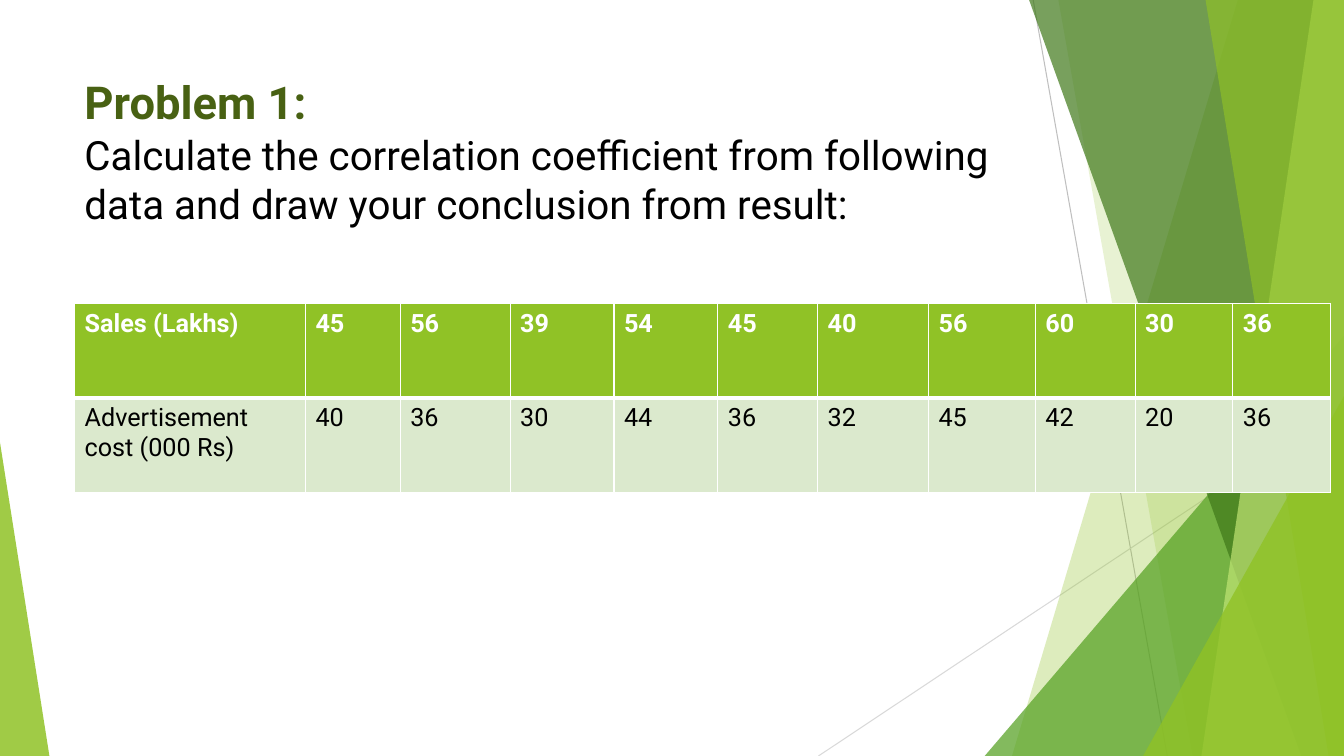
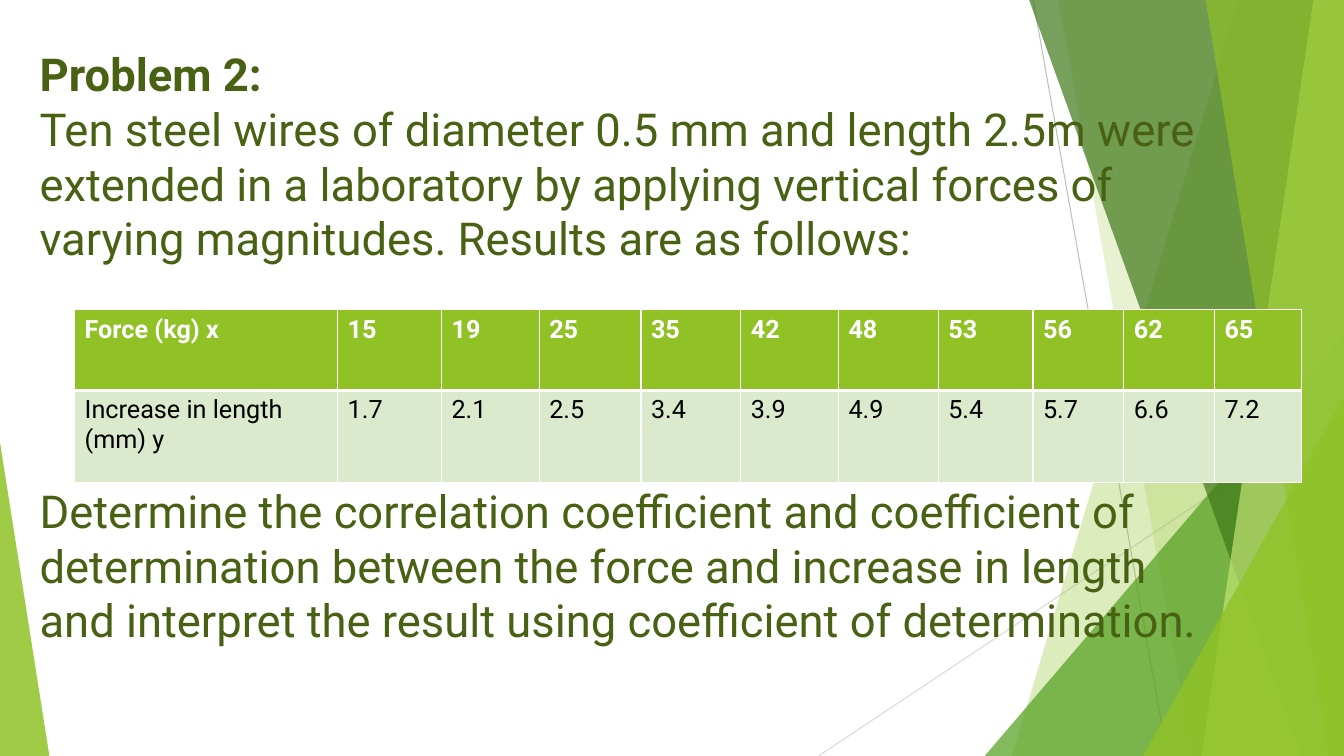
from lxml.etree import SubElement
from pptx import Presentation
from pptx.dml.color import RGBColor
from pptx.enum.shapes import MSO_CONNECTOR, MSO_SHAPE
from pptx.oxml.ns import qn
from pptx.util import Pt

WIDTH, HEIGHT = 960, 540
FONT = "Roboto"
COLORS = {
    "white": "FFFFFF",
    "black": "000000",
    "title": "486113",
    "lime": "90C226",
    "pale_lime": "C0E474",
    "green": "54A021",
    "forest": "3F7819",
    "row": "DBE9CD",
    "gray": "BFBFBF",
    "light_gray": "D9D9D9",
}
TABLE_LEFT = 53.3
HEADING_SIZE, HEADING_PITCH = 32.4, 39
PROMPT_SIZE, PROMPT_PITCH = 28.8, 35.2


def rgb(color):
    return RGBColor.from_string(COLORS[color])


def paint(shape, color, opacity):
    shape.shadow.inherit = False
    shape.fill.solid()
    shape.fill.fore_color.rgb = rgb(color)
    shape.line.fill.background()
    tint = shape.fill._xPr.find(qn("a:solidFill")).find(qn("a:srgbClr"))
    SubElement(tint, qn("a:alpha")).set("val", str(opacity * 1000))


def add_ray(slide, start, end, color):
    ray = slide.shapes.add_connector(
        MSO_CONNECTOR.STRAIGHT, *(Pt(value) for value in start + end))
    ray.line.color.rgb = rgb(color)
    ray.line.width = Pt(0.75)
    SubElement(ray._element.spPr, qn("a:effectLst"))


def add_panel(slide, top_x, bottom_x, color, opacity):
    outline = slide.shapes.build_freeform(Pt(top_x), 0)
    corners = [(WIDTH, 0), (WIDTH, HEIGHT), (bottom_x, HEIGHT)]
    outline.add_line_segments([(Pt(x), Pt(y)) for x, y in corners], close=True)
    paint(outline.convert_to_shape(), color, opacity)


def add_wedge(slide, left, top, right, apex, color, opacity):
    wedge = slide.shapes.add_shape(
        MSO_SHAPE.ISOSCELES_TRIANGLE,
        Pt(left), Pt(top), Pt(right - left), Pt(HEIGHT - top))
    wedge.adjustments[0] = apex
    paint(wedge, color, opacity)


def add_facets(slide):
    add_ray(slide, (738, 0), (833.8, HEIGHT), "gray")
    add_ray(slide, (WIDTH, 290.2), (584.6, HEIGHT), "light_gray")
    add_panel(slide, 884.2, 722.9, "lime", 30)
    add_panel(slide, 756, 851.8, "lime", 20)
    add_wedge(slide, 703.4, 239.8, WIDTH, 1, "green", 72)
    add_panel(slide, 735.1, 929.5, "forest", 70)
    add_panel(slide, 938.2, 858.2, "pale_lime", 70)
    add_panel(slide, 861.1, 949, "lime", 65)
    add_wedge(slide, 816.5, 283, WIDTH, 1, "lime", 80)
    add_wedge(slide, 0, 316.1, 35.3, 0, "lime", 85)


def write(paragraph, text, size, color, bold=False):
    run = paragraph.add_run()
    run.text = text
    run.font.name = FONT
    run.font.size = Pt(size)
    run.font.bold = bold
    run.font.color.rgb = rgb(color)


def add_problem(slide, box, heading, prompts, size, pitch, color):
    problem = slide.shapes.add_textbox(*(Pt(value) for value in box)).text_frame
    problem.word_wrap = True
    title = problem.paragraphs[0]
    title.line_spacing = Pt(HEADING_PITCH)
    write(title, heading, HEADING_SIZE, "title", True)
    for text, gap in prompts:
        prompt = problem.add_paragraph()
        prompt.line_spacing = Pt(pitch)
        prompt.space_before = Pt(gap)
        write(prompt, text, size, color)


def set_borders(cell, bottom, top):
    properties = cell._tc.get_or_add_tcPr()
    edges = [("a:lnL", 1), ("a:lnR", 1), ("a:lnT", top), ("a:lnB", bottom)]
    for position, (edge, width) in enumerate(edges):
        line = SubElement(properties, qn(edge), w=str(Pt(width)))
        fill = SubElement(line, qn("a:solidFill"))
        SubElement(fill, qn("a:srgbClr"), val=COLORS["white"])
        properties.insert(position, line)


def add_data(slide, top, widths, heights, rows):
    data = slide.shapes.add_table(
        len(rows), len(widths), Pt(TABLE_LEFT), Pt(top),
        Pt(sum(widths)), Pt(sum(heights))).table
    for column, width in zip(data.columns, widths):
        column.width = Pt(width)
    for index, (values, height) in enumerate(zip(rows, heights)):
        header = index == 0
        data.rows[index].height = Pt(height)
        for cell, value in zip(data.rows[index].cells, values):
            cell.fill.solid()
            cell.fill.fore_color.rgb = rgb("lime" if header else "row")
            set_borders(cell, bottom=3 if header else 1, top=1 if header else 3)
            write(cell.text_frame.paragraphs[0], value, 18,
                  "white" if header else "black", header)


def add_base_slide(deck):
    slide = deck.slides.add_slide(deck.slide_layouts[6])
    add_facets(slide)
    return slide


def add_sales_problem(deck):
    slide = add_base_slide(deck)
    add_problem(
        slide, (53.3, 49.5, 676.8, 120), "Problem 1:",
        [("Calculate the correlation coefficient from following data and draw "
          "your conclusion from result:", 0)],
        PROMPT_SIZE, PROMPT_PITCH, "black")
    add_data(
        slide, 216.9,
        [164.9, 67.7, 78.5, 74.2, 74.2, 71.3, 79.2, 76.3, 71.3, 69.8, 69.8],
        [67.5, 67.5],
        [["Sales (Lakhs)", *"45 56 39 54 45 40 56 60 30 36".split()],
         ["Advertisement cost (000 Rs)",
          *"40 36 30 44 36 32 45 42 20 36".split()]])


def add_wire_problem(deck):
    slide = add_base_slide(deck)
    add_problem(
        slide, (21.2, 29.6, 841, 440), "Problem 2:",
        [("Ten steel wires of diameter 0.5 mm and length 2.5m were extended in "
          "a laboratory by applying vertical forces of varying magnitudes. "
          "Results are as follows:", 0),
         ("Determine the correlation coefficient and coefficient of "
          "determination between the force and increase in length and "
          "interpret the result using coefficient of determination.",
          4 * HEADING_PITCH)],
        HEADING_SIZE, HEADING_PITCH, "title")
    add_data(
        slide, 221.2,
        [187.9, 74.2, 69.8, 72.7, 71.3, 69.8, 71.3, 67.7, 64.8, 64.8, 61.9],
        [57.8, 65.5],
        [["Force (kg) x", *"15 19 25 35 42 48 53 56 62 65".split()],
         ["Increase in length (mm) y",
          *"1.7 2.1 2.5 3.4 3.9 4.9 5.4 5.7 6.6 7.2".split()]])


def main():
    deck = Presentation()
    deck.slide_width, deck.slide_height = Pt(WIDTH), Pt(HEIGHT)
    add_sales_problem(deck)
    add_wire_problem(deck)
    deck.save("out.pptx")


if __name__ == "__main__":
    main()
